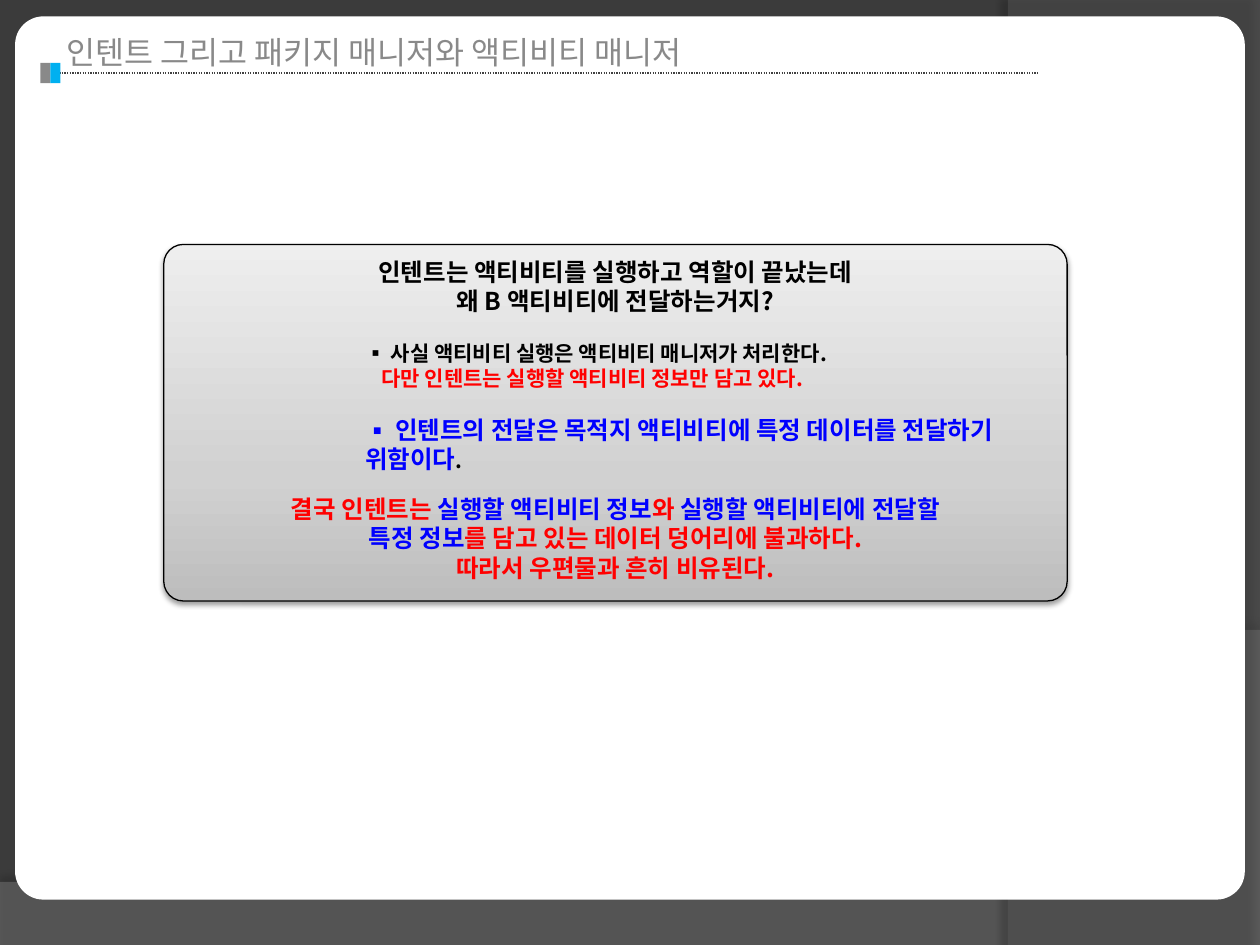
from lxml.etree import SubElement
from pptx import Presentation
from pptx.dml.color import RGBColor
from pptx.enum.dml import MSO_LINE
from pptx.enum.shapes import MSO_CONNECTOR, MSO_SHAPE
from pptx.enum.text import MSO_ANCHOR, PP_ALIGN
from pptx.oxml import parse_xml
from pptx.oxml.ns import nsdecls, qn
from pptx.util import Inches, Pt

WIDE, HIGH = 10, 7.5
SANS = "Noto Sans CJK KR"
BLACK, RED, BLUE, GRAY = "000000", "FF0000", "0000FF", "898989"


def tint(code):
    return RGBColor.from_string(code)


def inch(box):
    return [Inches(n) for n in box]


def shade(shape, code, alpha, blur, dist, angle):
    """Give a shape an outer shadow; blur and dist are in points."""
    shape.shadow.inherit = False
    effects = shape._element.spPr.find(qn("a:effectLst"))
    cast = SubElement(effects, qn("a:outerShdw"), blurRad=str(Pt(blur)),
                      dist=str(Pt(dist)), dir=str(angle * 60000), rotWithShape="0")
    color = SubElement(cast, qn("a:srgbClr"), val=code)
    SubElement(color, qn("a:alpha"), val=str(alpha * 1000))


def block(slide, kind, box, code, round_by=None):
    shape = slide.shapes.add_shape(kind, *inch(box))
    shape.shadow.inherit = False
    shape.fill.solid()
    shape.fill.fore_color.rgb = tint(code)
    shape.line.fill.background()
    if round_by is not None:
        shape.adjustments[0] = round_by
    return shape


def curve(a, b, c, d, steps=40):
    """Points along a cubic curve, without its first point."""
    spots = []
    for i in range(1, steps + 1):
        t = i / steps
        u = 1 - t
        spots.append(tuple(u**3 * p + 3 * u * u * t * q + 3 * u * t * t * r + t**3 * s
                           for p, q, r, s in zip(a, b, c, d)))
    return spots


def wave(slide, spots, code, alpha, shadow):
    build = slide.shapes.build_freeform(*spots[0], scale=Inches(1))
    build.add_line_segments(spots[1:], close=True)
    shape = build.convert_to_shape()
    shape.fill.solid()
    shape.fill.fore_color.rgb = tint(code)
    color = shape._element.spPr.find(qn("a:solidFill"))[0]
    SubElement(color, qn("a:alpha"), val=str(alpha * 1000))
    shape.line.fill.background()
    shade(shape, *shadow)


def draw_back(slide):
    slide.background.fill.solid()
    slide.background.fill.fore_color.rgb = tint("3B3B3B")
    low = [(0, 7.05), (0, HIGH), (WIDE, HIGH), (WIDE, 5.2)]
    low += curve((WIDE, 5.2), (5.59, 7.29), (3.91, 7.19), (0, 7.05))
    wave(slide, low, "7F7F7F", 45, (BLACK, 35, 4, 3.5, 270))
    side = [(WIDE, 0.02), (WIDE, HIGH), (8.21, HIGH)]
    side += curve((8.21, HIGH), (9.35, 6.19), (10.18, 3), (8, 0))
    wave(slide, side, "5E5E5E", 40, (BLACK, 45, 4, 4, 180))
    block(slide, MSO_SHAPE.ROUNDED_RECTANGLE, (0.12, 0.13, 9.76, 7.01), "FFFFFF", 0.032)


def draw_title(slide, box, words):
    left, top, wide, high = box
    title = slide.shapes.title
    title.left, title.top, title.width, title.height = inch(box)
    frame = title.text_frame
    frame.text = words
    frame.vertical_anchor = MSO_ANCHOR.MIDDLE
    para = frame.paragraphs[0]
    para.alignment = PP_ALIGN.LEFT
    para.font.size, para.font.name = Pt(18), "Arial"
    para.font.color.rgb = tint(GRAY)

    base = top + 0.37
    rule = slide.shapes.add_connector(MSO_CONNECTOR.STRAIGHT,
                                      *inch((left, base, left + wide, base)))
    rule.line.color.rgb = tint("404040")
    rule.line.width = Pt(0.75)
    rule.line.dash_style = MSO_LINE.ROUND_DOT
    SubElement(rule._element.spPr, qn("a:effectLst"))
    for i, code in enumerate((GRAY, "00B0F0")):
        block(slide, MSO_SHAPE.RECTANGLE, (left - 0.11 + i * 0.08, base - 0.08, 0.08, 0.16), code)


def write(slide, box, lines, align):
    """Each line is (runs, bullet, indent in inches, points before)."""
    frame = slide.shapes.add_textbox(*inch(box)).text_frame
    frame.word_wrap = True
    for i, (runs, bullet, indent, gap) in enumerate(lines):
        para = frame.paragraphs[0] if i == 0 else frame.add_paragraph()
        props = para._p.get_or_add_pPr()
        props.set("marL", str(Inches(indent)))
        props.set("indent", "0")
        if bullet:
            SubElement(props, qn("a:buFont"), typeface=SANS)
            SubElement(props, qn("a:buChar"), char=bullet)
        para.alignment = align
        if gap:
            para.space_before = Pt(gap)
        for words, size, code in runs:
            run = para.add_run()
            run.text = words
            font = run.font
            font.size, font.name, font.bold = Pt(size), SANS, True
            font.color.rgb = tint(code)
            SubElement(run._r.get_or_add_rPr(), qn("a:ea"), typeface=SANS)


def draw_card(slide, box):
    left, top, wide, high = box
    card = block(slide, MSO_SHAPE.ROUNDED_RECTANGLE, box, "D1D1D1", 0.055)
    stops = "".join(f'<a:gs pos="{at * 1000}"><a:srgbClr val="{code}"/></a:gs>'
                    for at, code in ((0, "BDBDBD"), (35, "D1D1D1"), (100, "EEEEEE")))
    props = card._element.spPr
    props.replace(props.find(qn("a:solidFill")), parse_xml(
        f'<a:gradFill {nsdecls("a")} rotWithShape="1"><a:gsLst>{stops}</a:gsLst>'
        f'<a:lin ang="{270 * 60000}" scaled="0"/></a:gradFill>'))
    card.line.color.rgb = tint(BLACK)
    card.line.width = Pt(0.75)
    shade(card, BLACK, 38, 3.1, 1.6, 90)

    write(slide, (left, top + 0.05, wide, 0.57), [
        ([("인텐트는 액티비티를 실행하고 역할이 끝났는데", 14, BLACK)], None, 0, 0),
        ([("왜 B 액티비티에 전달하는거지?", 14, BLACK)], None, 0, 0),
    ], PP_ALIGN.CENTER)
    write(slide, (left + 1.5, top + 0.71, wide - 1.5, 1.18), [
        ([(" 사실 액티비티 실행은 액티비티 매니저가 처리한다.", 12, BLACK)], "▪", 0, 0),
        ([("다만 인텐트는 실행할 액티비티 정보만 담고 있다.", 12, RED)], None, 0.13, 0),
        ([(" 인텐트의 전달은 목적지 액티비티에 특정 데이터를 전달하기 위함이다", 14, BLUE),
          (".", 12, BLACK)], "▪", 0, 14),
    ], PP_ALIGN.LEFT)
    write(slide, (left, top + 1.93, wide, 0.81), [
        ([("결국 인텐트는 ", 14, RED), ("실행할 액티비티 정보", 14, BLUE), ("와 ", 14, RED),
          ("실행할 액티비티에 전달할", 14, BLUE)], None, 0, 0),
        ([("특정 정보", 14, BLUE), ("를 담고 있는 데이터 덩어리에 불과하다.", 14, RED)], None, 0, 0),
        ([("따라서 우편물과 흔히 비유된다.", 14, RED)], None, 0, 0),
    ], PP_ALIGN.CENTER)


def main():
    deck = Presentation()
    deck.slide_width, deck.slide_height = Inches(WIDE), Inches(HIGH)
    slide = deck.slides.add_slide(deck.slide_layouts[5])
    draw_back(slide)
    tree = slide.shapes._spTree
    tree.append(slide.shapes.title._element)  # bring the title above the backdrop
    draw_title(slide, (0.43, 0.21, 7.8, 0.4), "인텐트 그리고 패키지 매니저와 액티비티 매니저")
    draw_card(slide, (1.3, 1.94, 7.17, 2.83))
    deck.save("out.pptx")


if __name__ == "__main__":
    main()
